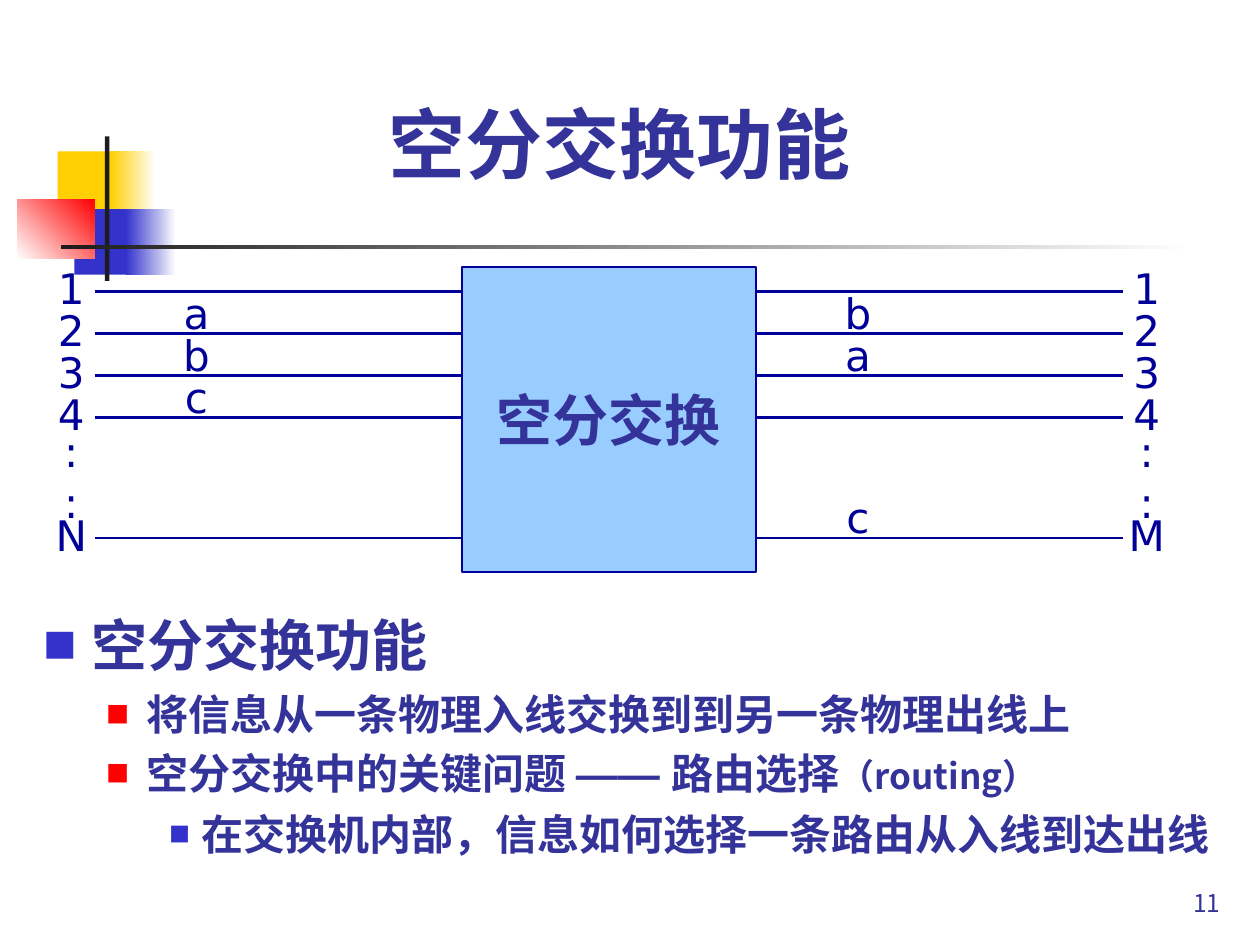
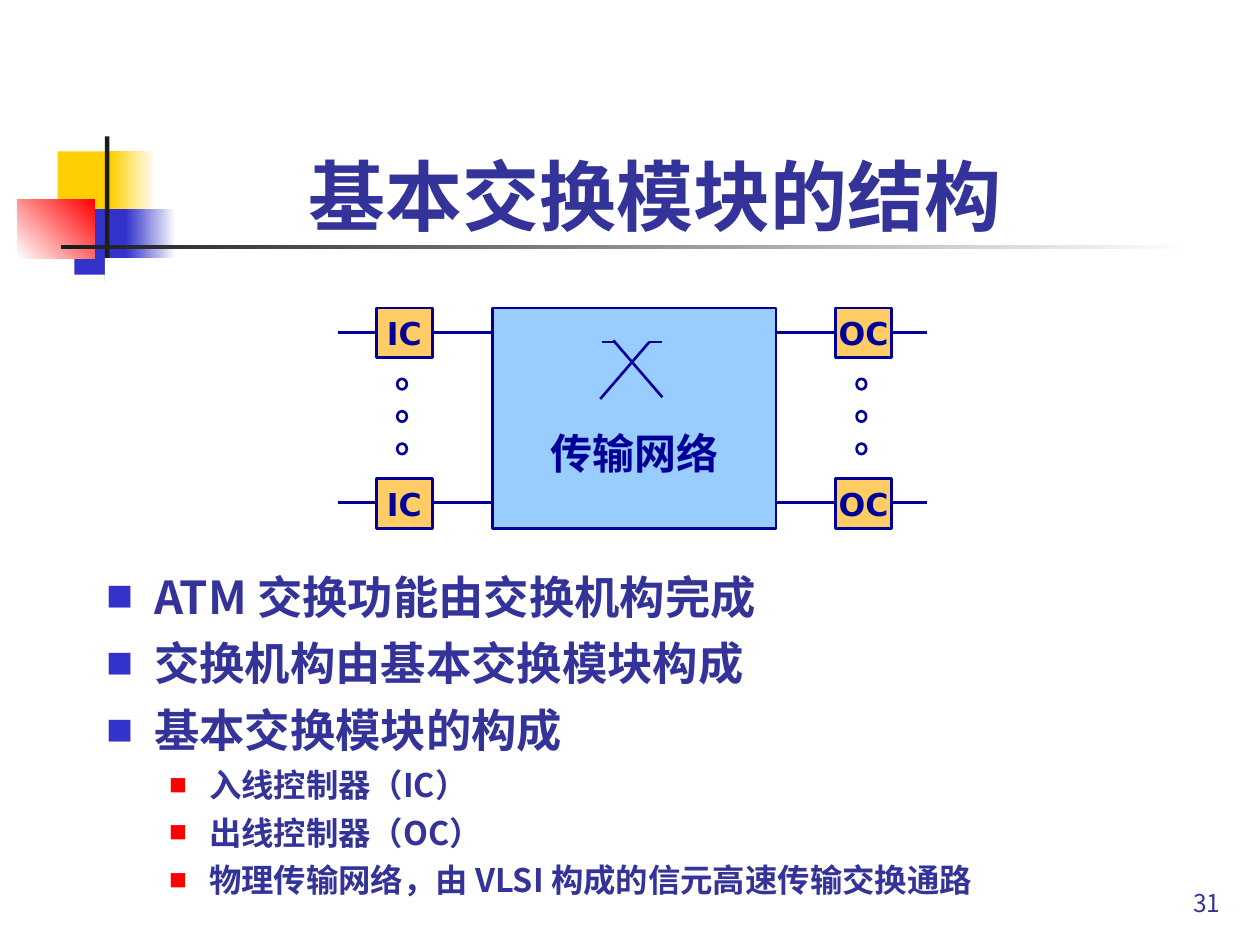
from lxml import etree
from pptx import Presentation
from pptx.dml.color import RGBColor
from pptx.enum.shapes import MSO_CONNECTOR, MSO_SHAPE
from pptx.enum.text import MSO_ANCHOR, PP_ALIGN
from pptx.oxml.ns import qn
from pptx.util import Pt

RECTANGLE, OVAL = MSO_SHAPE.RECTANGLE, MSO_SHAPE.OVAL
STRAIGHT = MSO_CONNECTOR.STRAIGHT
MIDDLE, BOTTOM, TOP = MSO_ANCHOR.MIDDLE, MSO_ANCHOR.BOTTOM, MSO_ANCHOR.TOP
CENTER, LEFT, RIGHT = PP_ALIGN.CENTER, PP_ALIGN.LEFT, PP_ALIGN.RIGHT

COLORS = {
    "text": "333399", "ink": "000099", "yellow": "FFCF01", "blue": "3333CC",
    "red": "FF0000", "black": "1C1C1C", "white": "FFFFFF",
    "network": "99CCFF", "controller": "FFCC66",
}
CJK, DIAGRAM, DASH = "Noto Sans CJK JP", "DejaVu Sans", "Arial"
LINE_WIDTH = 1.5
LEVELS = [
    {"margin": 27, "indent": -27, "bullet": "blue", "percent": 60},
    {"margin": 58.5, "indent": -22.5, "bullet": "red", "percent": 55},
    {"margin": 90, "indent": -18, "bullet": "blue", "percent": 50},
]


def rgb(name):
    return RGBColor.from_string(COLORS[name])


def add_run(paragraph, text, size, font=CJK, color="text", bold=False):
    run = paragraph.add_run()
    run.text = text
    run.font.size = Pt(size)
    run.font.bold = bold
    run.font.color.rgb = rgb(color)
    run.font.name = font
    east_asian = etree.SubElement(run.font._element, qn("a:ea"))
    east_asian.set("typeface", font)


def set_frame(shape, anchor, insets, wrap=True):
    frame = shape.text_frame
    frame.word_wrap = wrap
    frame.vertical_anchor = anchor
    (frame.margin_left, frame.margin_top,
     frame.margin_right, frame.margin_bottom) = map(Pt, insets)
    return frame


def add_text(slide, box, lines, size, font=CJK, color="text", bold=False,
             align=CENTER, anchor=MIDDLE, insets=(0, 0, 0, 0)):
    frame = set_frame(slide.shapes.add_textbox(*map(Pt, box)), anchor, insets)
    for index, line in enumerate(lines):
        paragraph = frame.add_paragraph() if index else frame.paragraphs[0]
        paragraph.alignment = align
        add_run(paragraph, line, size, font, color, bold)


def add_block(slide, box, fill, outline=None, kind=RECTANGLE):
    shape = slide.shapes.add_shape(kind, *map(Pt, box))
    shape.shadow.inherit = False
    if isinstance(fill, tuple):
        start, end, angle = fill
        shape.fill.gradient()
        shape.fill.gradient_angle = angle
        for stop, color in zip(shape.fill.gradient_stops, (start, end)):
            stop.color.rgb = rgb(color)
    else:
        shape.fill.solid()
        shape.fill.fore_color.rgb = rgb(fill)
    if outline:
        shape.line.color.rgb = rgb(outline)
        shape.line.width = Pt(LINE_WIDTH)
    else:
        shape.line.fill.background()
    return shape


def add_labelled_block(slide, box, fill, label, size, color="ink", top=3.6):
    shape = add_block(slide, box, fill, "ink")
    frame = set_frame(shape, MIDDLE, (7.2, top, 7.2, 3.6), wrap=False)
    frame.paragraphs[0].alignment = CENTER
    add_run(frame.paragraphs[0], label, size, DIAGRAM, color, True)


def add_line(slide, x1, y1, x2, y2):
    line = slide.shapes.add_connector(STRAIGHT, *map(Pt, (x1, y1, x2, y2)))
    line.line.color.rgb = rgb("ink")
    line.line.width = Pt(LINE_WIDTH)
    etree.SubElement(line._element.spPr, qn("a:effectLst"))


def add_frame(presentation, title, title_box, number):
    slide = presentation.slides.add_slide(presentation.slide_layouts[6])
    for box, fill in [
        ((33, 86.5, 34.5, 37.5), "yellow"),
        ((63, 86.5, 26, 37.5), ("yellow", "white", 0)),
        ((42.5, 119.5, 33, 37.5), "blue"),
        ((72, 119.5, 28.5, 37.5), ("blue", "white", 0)),
        ((10, 114, 44, 33.5), ("white", "red", 45)),
        ((60, 78, 2.5, 82.5), "black"),
        ((35, 140, 648, 2.5), ("black", "white", 0)),
    ]:
        add_block(slide, box, fill)
    add_text(slide, (554.5, 492, 150, 36), [number], 14, align=RIGHT,
             anchor=BOTTOM, insets=(7.2, 3.6, 7.2, 3.6))
    add_text(slide, title_box, [title], 44, bold=True, anchor=BOTTOM)
    return slide


def set_bullet(paragraph, level):
    properties = paragraph._p.get_or_add_pPr()
    properties.set("marL", str(Pt(level["margin"])))
    properties.set("indent", str(Pt(level["indent"])))
    color = etree.SubElement(properties, qn("a:buClr"))
    etree.SubElement(color, qn("a:srgbClr")).set("val", COLORS[level["bullet"]])
    size = etree.SubElement(properties, qn("a:buSzPct"))
    size.set("val", str(level["percent"] * 1000))
    etree.SubElement(properties, qn("a:buFont")).set("typeface", CJK)
    etree.SubElement(properties, qn("a:buChar")).set("char", "■")


def add_bullets(slide, box, items):
    frame = set_frame(slide.shapes.add_textbox(*map(Pt, box)), TOP,
                      (7.2, 7, 7.2, 0))
    for index, (depth, size, before, runs) in enumerate(items):
        paragraph = frame.add_paragraph() if index else frame.paragraphs[0]
        set_bullet(paragraph, LEVELS[depth])
        paragraph.alignment = LEFT
        paragraph.line_spacing = Pt(round(size * 1.2, 1))
        paragraph.space_before = Pt(before if index else 0)
        for text, font, run_size in runs:
            add_run(paragraph, text, run_size or size, font, bold=True)


def plain(text):
    return [(text, CJK, None)]


def add_ports(slide, box, line_left, label_left, last_label, letters):
    left, top, width, height = box
    label_width, label_height = 26.5, 29
    rows = [top + 14 + 24 * row for row in range(4)] + [top + 155]

    def add_label(x, center, lines):
        add_text(slide, (x, center - label_height / 2, label_width,
                         label_height), lines, 24, DIAGRAM, "ink")

    for y, label in zip(rows, ["1", "2", "3", "4", last_label]):
        add_line(slide, line_left, y, line_left + width, y)
        add_label(label_left, y - 2, [label])
    add_text(slide, (label_left, top + 91, label_width, 57.5), [":", ":"],
             24, DIAGRAM, "ink")
    for row, letter in letters.items():
        add_label(line_left + 45, rows[row] - 12, [letter])


def add_space_switch(slide, box):
    left, top, width, height = box
    port_length = 210
    core = (left + port_length, top, width - 2 * port_length, height)
    add_labelled_block(slide, core, "network", "空分交换", 32, "text")
    ports = (left, top, port_length, height)
    add_ports(slide, ports, left, left - 26.5, "N", {1: "a", 2: "b", 3: "c"})
    add_ports(slide, ports, left + width - port_length, left + width, "M",
              {1: "b", 2: "a", 4: "c"})


def add_switch_module(slide, box):
    left, top, width, height = box
    add_block(slide, (60, 147.5, 615, 178.5), "white")
    for y in (top + 111, top + 14):
        add_line(slide, left, y, left + width, y)
    columns = [("IC", left + 22), ("OC", left + 284.5)]
    for label, x in columns:
        for y in (top, top + height - 28.5):
            add_labelled_block(slide, (x, y, 32, 28.5), "controller", label, 18)
    add_labelled_block(slide, (left + 88.5, top, 162, height), "network",
                       "传输网络", 24, top=43.2)
    cross = [(151, 19.5, 158, 19.5), (157.5, 18.5, 185.5, 51),
             (150, 52, 178, 19.5), (178, 19.5, 185.5, 19.5)]
    for x1, y1, x2, y2 in cross:
        add_line(slide, left + x1, top + y1, left + x2, top + y2)
    for label, x in columns:
        for row in range(3):
            dot = (x + 12, top + 40.5 + 18.5 * row, 5.5, 6)
            add_block(slide, dot, "white", "ink", OVAL)


def build_space_switching(presentation):
    slide = add_frame(presentation, "空分交换功能", (48, 18, 612, 90), "11")
    add_bullets(slide, (18, 342, 684, 167), [
        (0, 32, 0, plain("空分交换功能")),
        (1, 24, 6, plain("将信息从一条物理入线交换到到另一条物理出线上")),
        (1, 24, 5, [("空分交换中的关键问题 ", CJK, None), ("—— ", DASH, None),
                    ("路由选择", CJK, None), ("（routing）", CJK, 20)]),
        (2, 24, 6, plain("在交换机内部，信息如何选择一条路由从入线到达出线")),
    ])
    add_space_switch(slide, (54, 152.5, 588, 174.5))


def build_module_structure(presentation):
    slide = add_frame(presentation, "基本交换模块的结构",
                      (67.5, 65.5, 613.5, 72), "31")
    topics = ["ATM 交换功能由交换机构完成", "交换机构由基本交换模块构成",
              "基本交换模块的构成"]
    parts = ["入线控制器（IC）", "出线控制器（OC）",
             "物理传输网络，由 VLSI 构成的信元高速传输交换通路"]
    add_bullets(slide, (54, 318, 612, 195),
                [(0, 25.9, 7, plain(topic)) for topic in topics]
                + [(1, 18.5, 5, plain(part)) for part in parts])
    add_switch_module(slide, (193, 176, 337, 126))


def main():
    presentation = Presentation()
    presentation.slide_width, presentation.slide_height = Pt(720), Pt(540)
    build_space_switching(presentation)
    build_module_structure(presentation)
    presentation.save("out.pptx")


if __name__ == "__main__":
    main()
